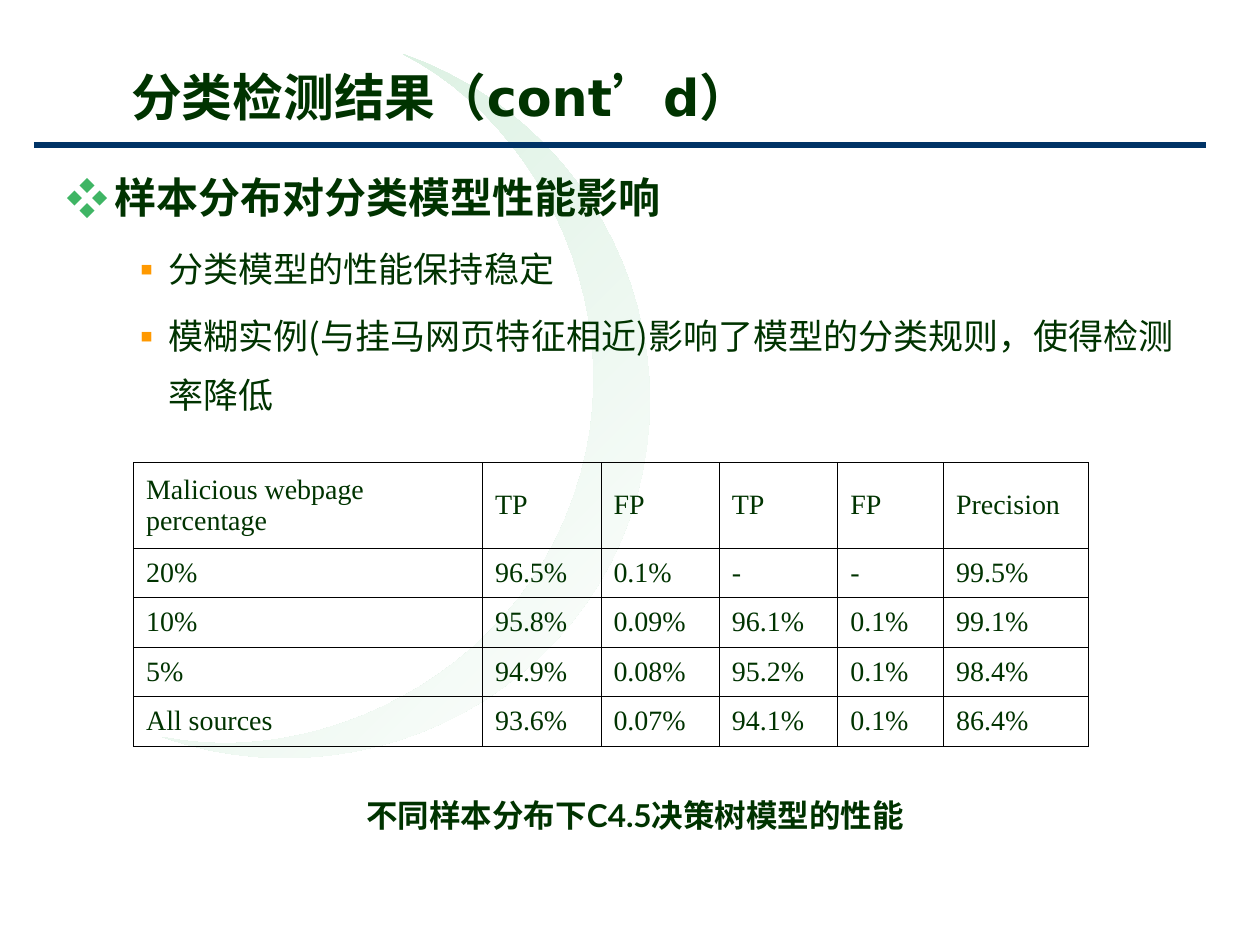
from dataclasses import dataclass
from typing import NamedTuple, Optional

from lxml.etree import SubElement
from pptx import Presentation
from pptx.dml.color import RGBColor
from pptx.enum.shapes import MSO_CONNECTOR
from pptx.enum.text import MSO_ANCHOR, MSO_AUTO_SIZE, PP_ALIGN
from pptx.oxml.ns import qn
from pptx.util import Emu, Inches, Pt

COLUMNS, ROWS = 100, 75
WIDTH, HEIGHT = Inches(10), Inches(7.5)
CURVE_STEPS = 24


@dataclass(frozen=True)
class Theme:
    ink: str = "003300"
    rule: str = "003366"
    green: str = "3FB564"
    white: str = "FFFFFF"
    orange: str = "FF9900"
    border: str = "000000"
    east_asian: str = "Noto Sans CJK SC"
    title_font: str = "DejaVu Sans"
    table_font: str = "Times New Roman"
    caption_font: str = "Lato"
    title_size: float = 29
    topic_size: float = 24
    point_size: float = 20
    caption_size: float = 18
    table_size: float = 16
    rule_width: float = 3
    border_width: float = 0.4
    crescent_opacity: int = 22


THEME = Theme()


class Area(NamedTuple):
    left: float
    top: float
    width: float
    height: float


class Bullet(NamedTuple):
    symbol: str
    color: str
    margin: float
    hanging: float


class Item(NamedTuple):
    text: str
    level: int
    bullet: Bullet
    size: float
    bold: bool
    space_before: float


TOPIC_BULLET = Bullet("❖", THEME.green, 3.8, 3.8)
POINT_BULLET = Bullet("▪", THEME.orange, 8.1, 3.1)
ITEMS = (
    Item("样本分布对分类模型性能影响", 0, TOPIC_BULLET, THEME.topic_size, True, 0),
    Item("分类模型的性能保持稳定", 1, POINT_BULLET, THEME.point_size, False, 5),
    Item("模糊实例(与挂马网页特征相近)影响了模型的分类规则，使得检测率降低",
         1, POINT_BULLET, THEME.point_size, False, 5),
)
RESULTS = (
    ("Malicious webpage percentage", "TP", "FP", "TP", "FP", "Precision"),
    ("20%", "96.5%", "0.1%", "-", "-", "99.5%"),
    ("10%", "95.8%", "0.09%", "96.1%", "0.1%", "99.1%"),
    ("5%", "94.9%", "0.08%", "95.2%", "0.1%", "98.4%"),
    ("All sources", "93.6%", "0.07%", "94.1%", "0.1%", "86.4%"),
)
RESULT_COLUMNS = (27.7, 9.4, 9.4, 9.4, 8.4, 11.5)
RESULT_ROWS = (6.8,) + (3.93,) * 4
CRESCENT_START = (12.9, 58.5)
CRESCENT_CURVES = (
    ((25, 61), (40.5, 53.9), (45.5, 39.5)),
    ((50.6, 25.2), (43, 9.9), (32, 4.3)),
    ((47.1, 9.6), (55.2, 26.2), (50, 41.1)),
    ((44.8, 56), (28, 63.8), (12.9, 58.5)),
)


def across(columns: float) -> Emu:
    return Emu(round(WIDTH * columns / COLUMNS))


def down(rows: float) -> Emu:
    return Emu(round(HEIGHT * rows / ROWS))


def place(area: Area) -> tuple:
    return across(area.left), down(area.top), across(area.width), down(area.height)


def add_bullet(paragraph, bullet: Bullet) -> None:
    properties = paragraph._p.get_or_add_pPr()
    properties.set("marL", str(across(bullet.margin)))
    properties.set("indent", str(-across(bullet.hanging)))
    color = SubElement(properties, qn("a:buClr"))
    SubElement(color, qn("a:srgbClr"), val=bullet.color)
    SubElement(properties, qn("a:buFont"), typeface=THEME.east_asian)
    SubElement(properties, qn("a:buChar"), char=bullet.symbol)


def write(paragraph, text: str, font_name: str, size: float, bold: bool = False,
          bullet: Optional[Bullet] = None) -> None:
    paragraph.text = text
    paragraph.alignment = PP_ALIGN.LEFT
    if bullet:
        add_bullet(paragraph, bullet)
    font = paragraph.font
    font.name, font.size, font.bold = font_name, Pt(size), bold
    font.color.rgb = RGBColor.from_string(THEME.ink)
    defaults = paragraph._p.pPr.find(qn("a:defRPr"))
    SubElement(defaults, qn("a:ea"), typeface=THEME.east_asian)


def curve_points(start: tuple, curves: tuple) -> list:
    points = []
    for first, second, end in curves:
        for step in range(1, CURVE_STEPS + 1):
            t = step / CURVE_STEPS
            weights = ((1 - t) ** 3, 3 * t * (1 - t) ** 2, 3 * t * t * (1 - t), t ** 3)
            corners = (start, first, second, end)
            x, y = (sum(w * c[axis] for w, c in zip(weights, corners)) for axis in (0, 1))
            points.append((across(x), down(y)))
        start = end
    return points


def draw_crescent(slide) -> None:
    builder = slide.shapes.build_freeform(across(CRESCENT_START[0]), down(CRESCENT_START[1]))
    builder.add_line_segments(curve_points(CRESCENT_START, CRESCENT_CURVES), close=True)
    crescent = builder.convert_to_shape()
    crescent.shadow.inherit = False
    crescent.line.fill.background()
    crescent.fill.gradient()
    crescent.fill.gradient_angle = 315
    for stop, position, color in zip(crescent.fill.gradient_stops, (0, 1), (THEME.green, THEME.white)):
        stop.position = position
        stop.color.rgb = RGBColor.from_string(color)
    for color in crescent.element.spPr.find(qn("a:gradFill")).iter(qn("a:srgbClr")):
        SubElement(color, qn("a:alpha"), val=str(THEME.crescent_opacity * 1000))


def draw_rule(slide) -> None:
    rule = slide.shapes.add_connector(
        MSO_CONNECTOR.STRAIGHT, across(2.7), down(11.5), across(95.7), down(11.5))
    rule.line.color.rgb = RGBColor.from_string(THEME.rule)
    rule.line.width = Pt(THEME.rule_width)
    SubElement(rule.element.spPr, qn("a:effectLst"))


def draw_body(slide) -> None:
    frame = slide.shapes.add_textbox(*place(Area(4.3, 11.5, 90, 45))).text_frame
    frame.word_wrap = True
    for index, item in enumerate(ITEMS):
        paragraph = frame.add_paragraph() if index else frame.paragraphs[0]
        paragraph.level = item.level
        paragraph.line_spacing = 1.4
        paragraph.space_before = Pt(item.space_before)
        write(paragraph, item.text, THEME.east_asian, item.size, item.bold, item.bullet)


def draw_title(slide) -> None:
    title = slide.shapes.title
    title.left, title.top, title.width, title.height = place(Area(9.4, 4.7, 71, 5.9))
    title.text_frame.vertical_anchor = MSO_ANCHOR.MIDDLE
    write(title.text_frame.paragraphs[0], "分类检测结果（cont’d）",
          THEME.title_font, THEME.title_size, True)
    title.element.getparent().append(title.element)


def add_borders(cell) -> None:
    properties = cell._tc.get_or_add_tcPr()
    for side in ("lnL", "lnR", "lnT", "lnB"):
        border = SubElement(properties, qn(f"a:{side}"), w=str(Pt(THEME.border_width)))
        fill = SubElement(border, qn("a:solidFill"))
        SubElement(fill, qn("a:srgbClr"), val=THEME.border)


def draw_results(slide) -> None:
    area = Area(10.6, 36.7, sum(RESULT_COLUMNS), sum(RESULT_ROWS))
    table = slide.shapes.add_table(len(RESULT_ROWS), len(RESULT_COLUMNS), *place(area)).table
    table.first_row = table.horz_banding = False
    for column, width in zip(table.columns, RESULT_COLUMNS):
        column.width = across(width)
    for row, height, values in zip(table.rows, RESULT_ROWS, RESULTS):
        row.height = down(height)
        for cell, value in zip(row.cells, values):
            add_borders(cell)
            cell.fill.background()
            cell.vertical_anchor = MSO_ANCHOR.MIDDLE
            write(cell.text_frame.paragraphs[0], value, THEME.table_font, THEME.table_size)


def draw_caption(slide) -> None:
    frame = slide.shapes.add_textbox(*place(Area(28.1, 62.7, 45.8, 4))).text_frame
    frame.word_wrap = False
    frame.auto_size = MSO_AUTO_SIZE.SHAPE_TO_FIT_TEXT
    write(frame.paragraphs[0], "不同样本分布下C4.5决策树模型的性能",
          THEME.caption_font, THEME.caption_size, True)


def main() -> None:
    presentation = Presentation()
    presentation.slide_width, presentation.slide_height = WIDTH, HEIGHT
    slide = presentation.slides.add_slide(presentation.slide_layouts[5])
    for draw in (draw_crescent, draw_rule, draw_body, draw_title, draw_results, draw_caption):
        draw(slide)
    presentation.save("out.pptx")


if __name__ == "__main__":
    main()
